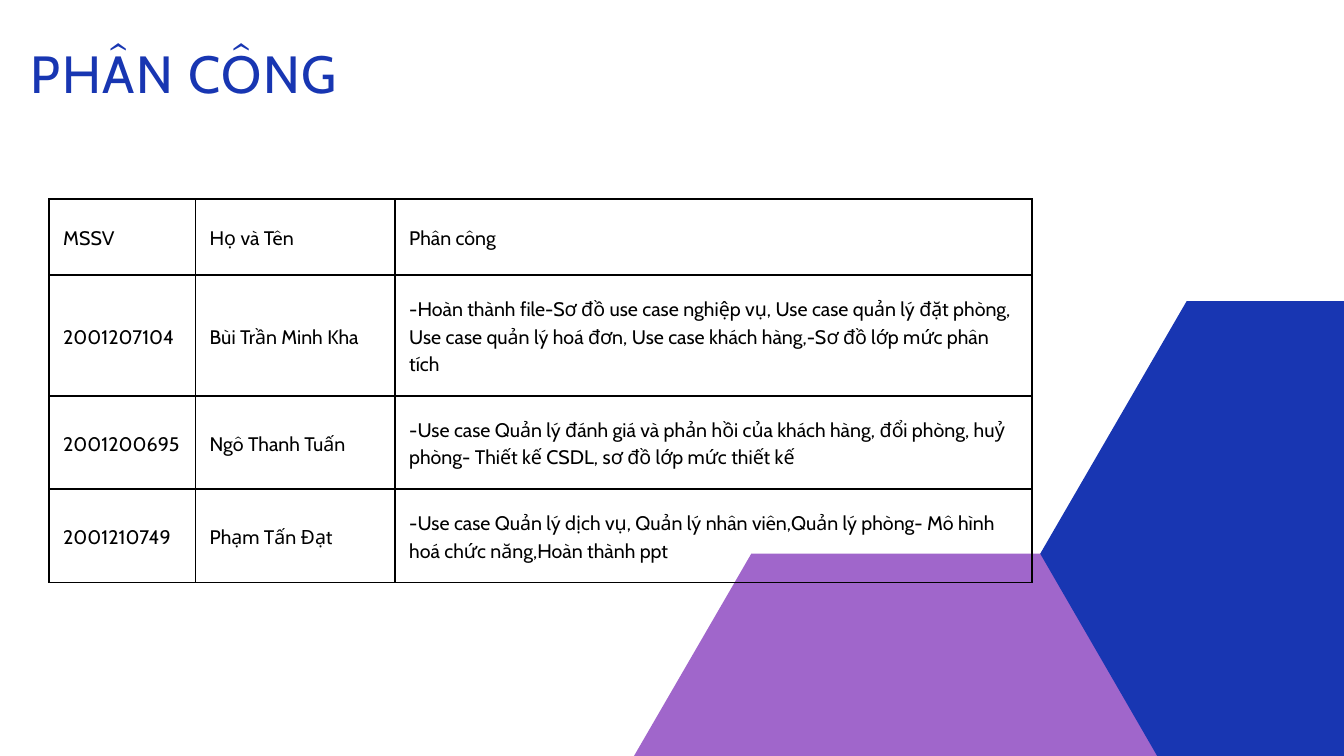
from dataclasses import dataclass

from lxml.etree import SubElement
from pptx import Presentation
from pptx.dml.color import RGBColor
from pptx.enum.text import MSO_ANCHOR as Anchor, MSO_AUTO_SIZE as AutoSize
from pptx.oxml.ns import qn
from pptx.util import Emu, Pt

PX = 9144  # 100 px to the inch


@dataclass(frozen=True)
class Theme:
    font: str = "Cabin"
    blue: str = "1836B2"
    purple: str = "A066CB"
    black: str = "000000"
    title_size: int = 56
    title_tracking: float = 1.7
    cell_size: int = 21
    cell_leading: float = 29.4
    border_width: float = 2.25


THEME = Theme()

COLUMN_WIDTHS = [218, 297, 948]
ROW_HEIGHTS = [113, 180, 139, 139]
ASSIGNMENTS = [
    ["MSSV", "Họ và Tên", "Phân công"],
    ["2001207104", "Bùi Trần Minh Kha",
     "-Hoàn thành file-Sơ đồ use case nghiệp vụ, Use case quản lý đặt phòng, "
     "Use case quản lý hoá đơn, Use case khách hàng,-Sơ đồ lớp mức phân tích"],
    ["2001200695", "Ngô Thanh Tuấn",
     "-Use case Quản lý đánh giá và phản hồi của khách hàng, đổi phòng, "
     "huỷ phòng- Thiết kế CSDL, sơ đồ lớp mức thiết kế"],
    ["2001210749", "Phạm Tấn Đạt",
     "-Use case Quản lý dịch vụ, Quản lý nhân viên,Quản lý phòng- "
     "Mô hình hoá chức năng,Hoàn thành ppt"],
]


def px(value):
    return Emu(value * PX)


def write_text(frame, text, *, size, color, leading, tracking=0, margin=0):
    """Fill a text frame with one formatted paragraph."""
    frame.word_wrap = True
    paragraph = frame.paragraphs[0]
    paragraph.line_spacing = Pt(leading)
    run = paragraph.add_run()
    run.text = text
    run.font.name = THEME.font
    run.font.size = Pt(size)
    run.font.color.rgb = RGBColor.from_string(color)
    if tracking:
        run.font._element.set("spc", str(round(tracking * 100)))


def add_hexagon(slide, left, top, color):
    width, height, inset = 870, 753, 218
    middle, right, bottom = top + height / 2, left + width, top + height
    builder = slide.shapes.build_freeform(right - inset, top, scale=PX)
    builder.add_line_segments([
        (left + inset, top), (left, middle), (left + inset, bottom),
        (right - inset, bottom), (right, middle),
    ], close=True)
    shape = builder.convert_to_shape()
    shape.shadow.inherit = False
    shape.fill.solid()
    shape.fill.fore_color.rgb = RGBColor.from_string(color)
    shape.line.fill.background()


def add_title(slide, text, left, top, width, height):
    frame = slide.shapes.add_textbox(*map(px, (left, top, width, height))).text_frame
    frame.margin_left = frame.margin_right = frame.margin_top = frame.margin_bottom = 0
    write_text(frame, text, size=THEME.title_size, color=THEME.blue,
               leading=THEME.title_size, tracking=THEME.title_tracking)
    frame.auto_size = AutoSize.SHAPE_TO_FIT_TEXT


def set_borders(cell):
    """Draw all four sides; borders come before the fill in the cell's XML."""
    properties = cell._tc.get_or_add_tcPr()
    for side in ("a:lnL", "a:lnR", "a:lnT", "a:lnB"):
        line = SubElement(properties, qn(side), w=str(Pt(THEME.border_width)))
        fill = SubElement(line, qn("a:solidFill"))
        SubElement(fill, qn("a:srgbClr"), val=THEME.black)


def add_table(slide, left, top, rows):
    table = slide.shapes.add_table(
        len(ROW_HEIGHTS), len(COLUMN_WIDTHS), px(left), px(top),
        px(sum(COLUMN_WIDTHS)), px(sum(ROW_HEIGHTS))).table
    table.first_row = table.horz_banding = False
    for column, width in zip(table.columns, COLUMN_WIDTHS):
        column.width = px(width)
    for row, height, texts in zip(table.rows, ROW_HEIGHTS, rows):
        row.height = px(height)
        for cell, text in zip(row.cells, texts):
            cell.margin_left = cell.margin_right = px(21)
            cell.margin_top = cell.margin_bottom = px(21)
            cell.vertical_anchor = Anchor.MIDDLE
            set_borders(cell)
            cell.fill.background()
            write_text(cell.text_frame, text, size=THEME.cell_size,
                       color=THEME.black, leading=THEME.cell_leading)


def main():
    presentation = Presentation()
    presentation.slide_width, presentation.slide_height = px(2000), px(1125)
    slide = presentation.slides.add_slide(presentation.slide_layouts[6])

    # Corner decoration
    add_hexagon(slide, 900, 824, THEME.purple)
    add_hexagon(slide, 1548, 448, THEME.blue)

    # Work assignments
    add_table(slide, 73, 296, ASSIGNMENTS)

    # Heading
    add_title(slide, "PHÂN CÔNG", 46, 77, 1198, 82)

    presentation.save("out.pptx")


if __name__ == "__main__":
    main()
